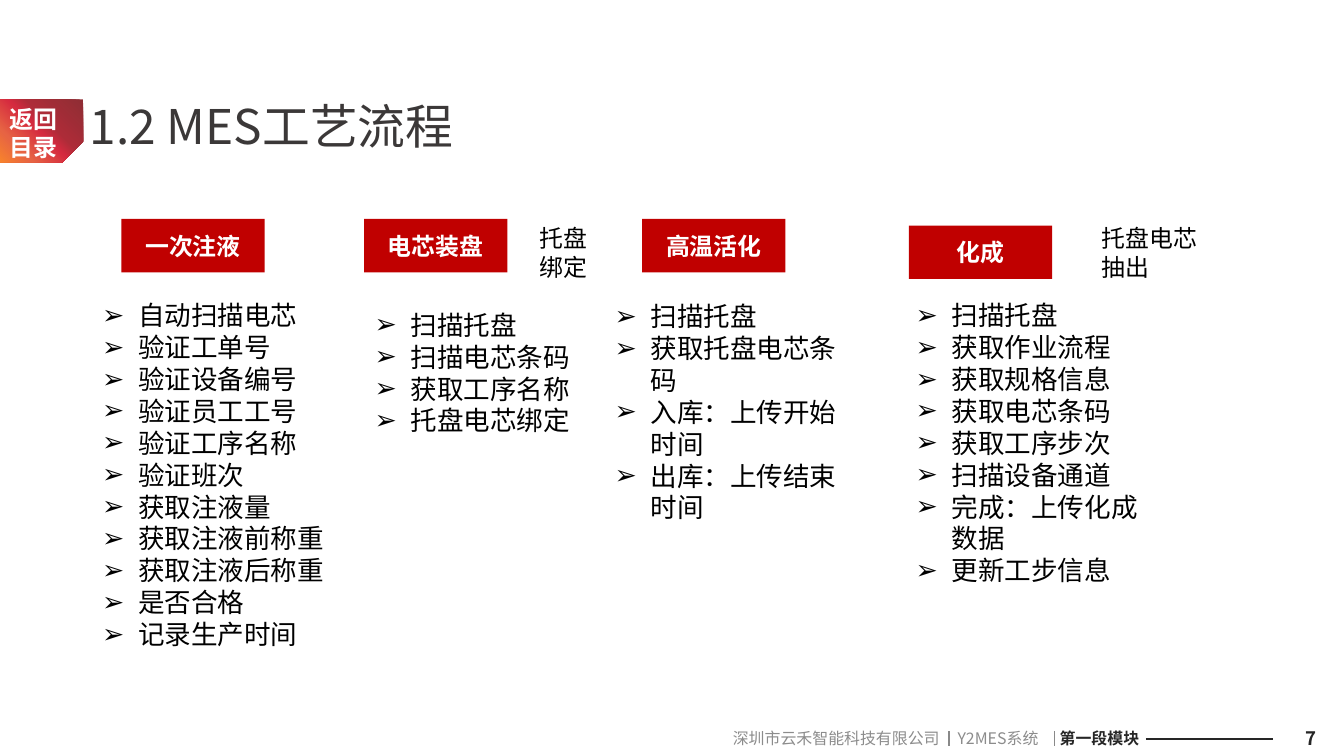
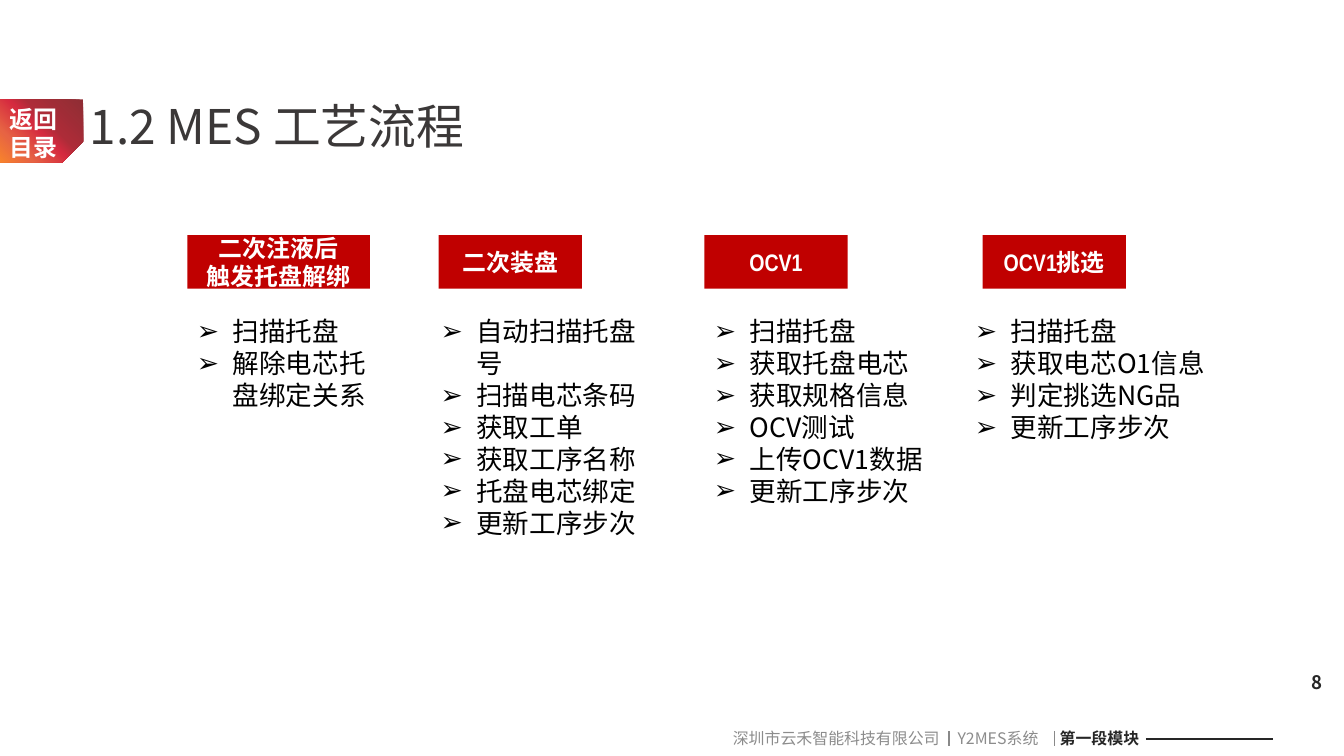
from lxml.etree import SubElement
from pptx import Presentation
from pptx.dml.color import RGBColor
from pptx.enum.shapes import MSO_CONNECTOR, MSO_SHAPE
from pptx.enum.text import MSO_ANCHOR, MSO_AUTO_SIZE, PP_ALIGN
from pptx.oxml import parse_xml
from pptx.oxml.ns import nsdecls, qn
from pptx.util import Pt

RED = RGBColor(0xC0, 0x00, 0x00)
WHITE = RGBColor(0xFF, 0xFF, 0xFF)
BLACK = RGBColor(0x00, 0x00, 0x00)
INK = RGBColor(0x26, 0x26, 0x26)
TITLE_GRAY = RGBColor(0x3B, 0x38, 0x38)
FOOTER_GRAY = RGBColor(0x8C, 0x8C, 0x8C)
RULE_GRAY = RGBColor(0x89, 0x89, 0x89)
BADGE_STOPS = [
    (0, RGBColor(0xF8, 0x83, 0x2C)),
    (23, RGBColor(0xE7, 0x64, 0x43)),
    (49, RGBColor(0xD5, 0x2A, 0x3F)),
    (61, RGBColor(0xAD, 0x2C, 0x38)),
    (100, RGBColor(0x8F, 0x2D, 0x34)),
]
SANS = "Noto Sans CJK SC"
NARROW = "Arial Narrow"
COMPARISON_LAYOUT = 4
HEADER_WIDTH, HEADER_HEIGHT = 108, 40.3


def add_span(para, text, size=18, color=BLACK, bold=False, font=SANS):
    span = para.add_run()
    span.text = text
    span.font.size = Pt(size)
    span.font.bold = bold
    span.font.color.rgb = color
    span.font.name = font
    east_asian = SubElement(span.font._element, qn("a:ea"))
    east_asian.set("typeface", SANS)


def place(box, left, top, width, height):
    box.left, box.top = Pt(left), Pt(top)
    box.width, box.height = Pt(width), Pt(height)


def fill_text(box, lines, align=PP_ALIGN.LEFT, anchor=MSO_ANCHOR.TOP,
              margin=0, indent=0, bullet=None, **style):
    frame = box.text_frame
    frame.word_wrap = True
    frame.auto_size = MSO_AUTO_SIZE.NONE
    frame.vertical_anchor = anchor
    for index, line in enumerate(lines):
        para = frame.add_paragraph() if index else frame.paragraphs[0]
        para.alignment = align
        para.space_before = Pt(0)
        properties = para._p.get_or_add_pPr()
        properties.set("marL", str(Pt(margin)))
        properties.set("indent", str(Pt(indent)))
        if bullet:
            SubElement(properties, qn("a:buFont")).set("typeface", "Arial")
            SubElement(properties, qn("a:buChar")).set("char", bullet)
        else:
            SubElement(properties, qn("a:buNone"))
        add_span(para, line, **style)


class Deck:
    def __init__(self, width, height):
        self.deck = Presentation()
        self.deck.slide_width = Pt(width)
        self.deck.slide_height = Pt(height)
        self.page = None

    def add_page(self, title, number, number_left, number_top):
        layout = self.deck.slide_layouts[COMPARISON_LAYOUT]
        self.page = self.deck.slides.add_slide(layout)
        self.bodies = [box for box in self.page.placeholders
                       if box.placeholder_format.idx != 0]
        heading = self.page.shapes.title
        place(heading, 24.5, 69.1, 771, 51.1)
        fill_text(heading, [title], margin=50.4, indent=-14.4,
                  size=36, color=TITLE_GRAY)
        self.add_badge()
        self.add_footer()
        self.add_text([number], number_left, number_top, 227.5, 30.2,
                      align=PP_ALIGN.RIGHT, anchor=MSO_ANCHOR.MIDDLE,
                      size=14, color=INK, bold=True)

    def add_text(self, lines, left, top, width, height, **style):
        box = self.page.shapes.add_textbox(
            Pt(left), Pt(top), Pt(width), Pt(height))
        fill_text(box, lines, **style)

    def add_shape(self, kind, left, top, width, height):
        shape = self.page.shapes.add_shape(
            kind, Pt(left), Pt(top), Pt(width), Pt(height))
        shape.shadow.inherit = False
        shape.line.fill.background()
        return shape

    def add_line(self, start, end, color, width):
        line = self.page.shapes.add_connector(
            MSO_CONNECTOR.STRAIGHT, *map(Pt, start + end))
        line.line.color.rgb = color
        line.line.width = Pt(width)
        SubElement(line._element.spPr, qn("a:effectLst"))

    def add_badge(self):
        badge = self.add_shape(MSO_SHAPE.SNIP_1_RECTANGLE, 0, 74.9, 62.6, 47.5)
        badge.adjustments[0] = 0.33
        badge.rotation = 180
        properties = badge._element.spPr
        properties.find(qn("a:xfrm")).set("flipH", "1")
        stops = "".join(
            f'<a:gs pos="{position * 1000}"><a:srgbClr val="{color}"/></a:gs>'
            for position, color in BADGE_STOPS)
        gradient = parse_xml(
            f'<a:gradFill {nsdecls("a")} rotWithShape="1"><a:gsLst>{stops}'
            '</a:gsLst><a:path path="circle"><a:fillToRect t="100000" '
            'r="100000"/></a:path></a:gradFill>')
        properties.find(qn("a:prstGeom")).addnext(gradient)
        self.add_text(["返回目录"], 0, 74.9, 52.6, 51.1,
                      color=WHITE, bold=True)

    def add_footer(self):
        for text, left, width, color, bold in [
            ("深圳市云禾智能科技有限公司", 545, 175, FOOTER_GRAY, False),
            ("Y2MES系统", 714.3, 90, FOOTER_GRAY, False),
            ("第一段模块", 791.2, 85, INK, True),
        ]:
            self.add_text([text], left, 545.4, width, 21.6,
                          size=12, color=color, bold=bold)
        for left in (715, 794.2):
            self.add_line((left, 550.8), (left, 562.3), RULE_GRAY, 1)
        self.add_line((863.3, 556.6), (959, 556.6), INK, 1.5)

    def add_header(self, lines, left, top, width=HEADER_WIDTH):
        header = self.add_shape(MSO_SHAPE.RECTANGLE, left, top,
                                width, HEADER_HEIGHT)
        header.fill.solid()
        header.fill.fore_color.rgb = RED
        fill_text(header, lines, align=PP_ALIGN.CENTER,
                  anchor=MSO_ANCHOR.MIDDLE, color=WHITE, bold=True,
                  font=NARROW)

    def add_list(self, items, left, top, width, height):
        body = self.bodies.pop(0)
        place(body, left, top, width, height)
        fill_text(body, items, margin=27, indent=-27, bullet="➢", size=20)

    def save(self):
        self.deck.save("out.pptx")


slides = Deck(1012.5, 569.5)

slides.add_page("1.2 MES工艺流程", "7", 771.1, 540.7)
for name, left, top in [
    ("一次注液", 91.4, 164.9),
    ("电芯装盘", 274.3, 164.9),
    ("高温活化", 483.8, 164.9),
    ("化成", 684.7, 169.9),
]:
    slides.add_header([name], left, top)
slides.add_list(
    ["自动扫描电芯", "验证工单号", "验证设备编号", "验证员工工号",
     "验证工序名称", "验证班次", "获取注液量", "获取注液前称重",
     "获取注液后称重", "是否合格", "记录生产时间"],
    69.8, 221.8, 187.2, 298.1)
slides.add_list(["扫描托盘", "扫描电芯条码", "获取工序名称", "托盘电芯绑定"],
                275, 229, 162, 128.2)
slides.add_list(
    ["扫描托盘", "获取托盘电芯条码", "入库：上传开始时间", "出库：上传结束时间"],
    455.8, 222.5, 197.3, 200.9)
slides.add_list(
    ["扫描托盘", "获取作业流程", "获取规格信息", "获取电芯条码",
     "获取工序步次", "扫描设备通道", "完成：上传化成数据", "更新工步信息"],
    682.6, 221.8, 198, 225.4)
slides.add_text(["托盘绑定"], 399.6, 164.9, 52.6, 51.1)
slides.add_text(["托盘电芯抽出"], 823, 164.9, 94.3, 51.1)

slides.add_page("1.2 MES 工艺流程", "8", 776.2, 499)
HEADER_TOP, LIST_TOP = 177.1, 234
slides.add_header(["二次注液后", "触发托盘解绑"], 141.1, HEADER_TOP, 137.5)
for name, left in [("二次装盘", 330.5), ("OCV1", 530.6), ("OCV1挑选", 740.2)]:
    slides.add_header([name], left, HEADER_TOP)
for items, left, width, height in [
    (["扫描托盘", "解除电芯托盘绑定关系"], 141.1, 161.3, 79.9),
    (["自动扫描托盘号", "扫描电芯条码", "获取工单", "获取工序名称",
      "托盘电芯绑定", "更新工序步次"], 324.7, 162, 225.4),
    (["扫描托盘", "获取托盘电芯", "获取规格信息", "OCV测试",
      "上传OCV1数据", "更新工序步次"], 530.6, 179.3, 152.6),
    (["扫描托盘", "获取电芯O1信息", "判定挑选NG品", "更新工序步次"],
     727.2, 198.7, 128.2),
]:
    slides.add_list(items, left, LIST_TOP, width, height)

slides.save()
